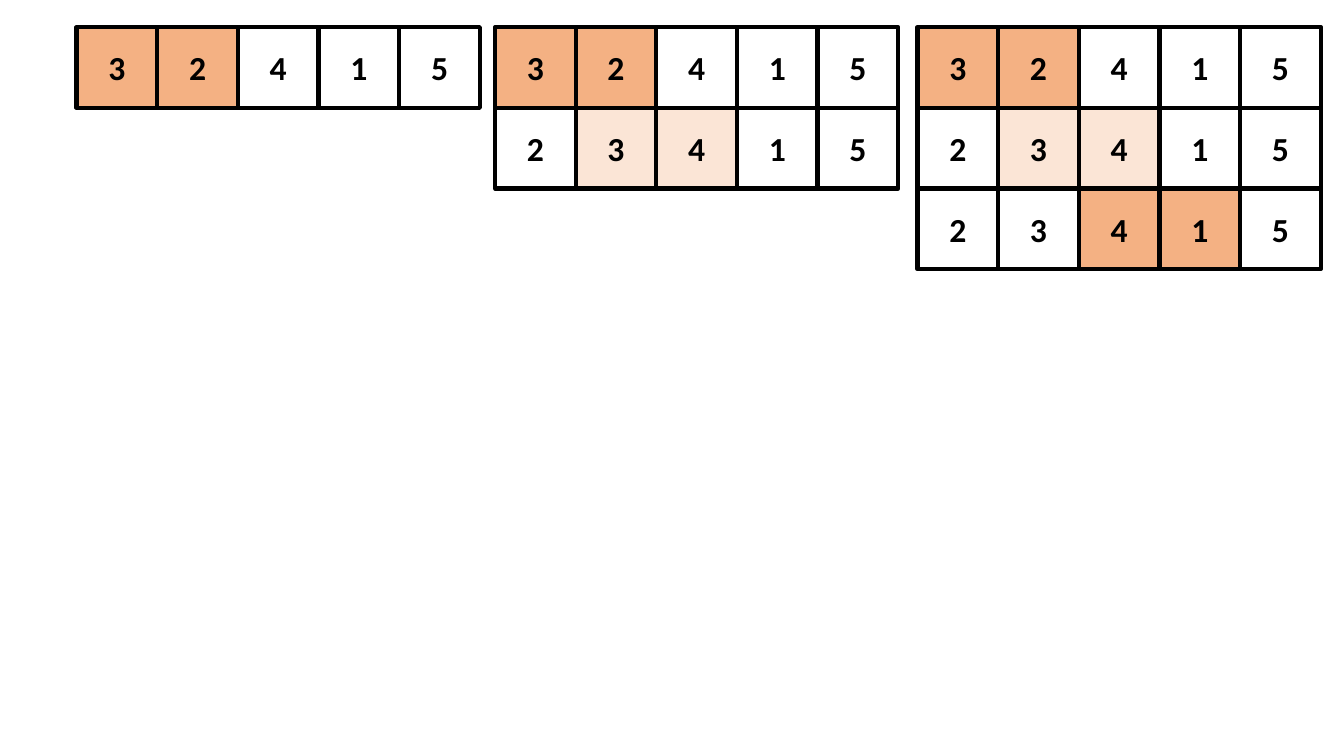
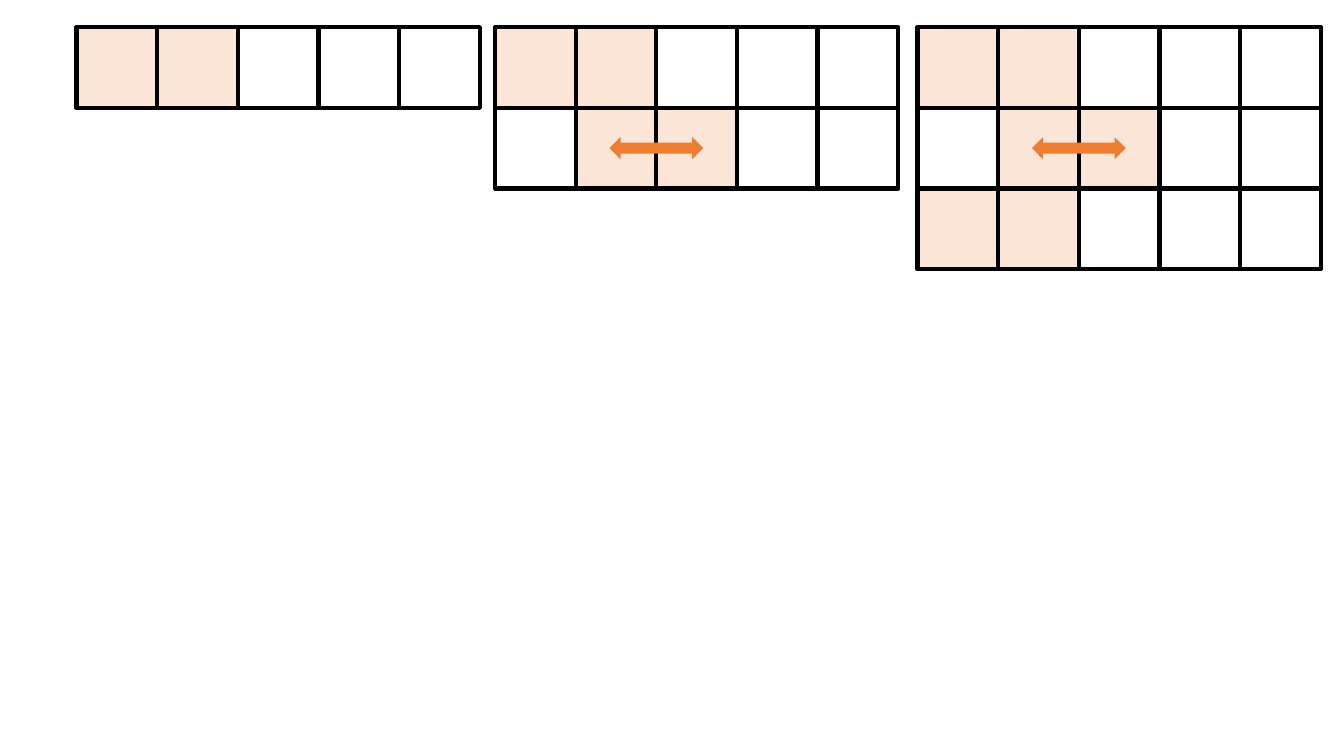
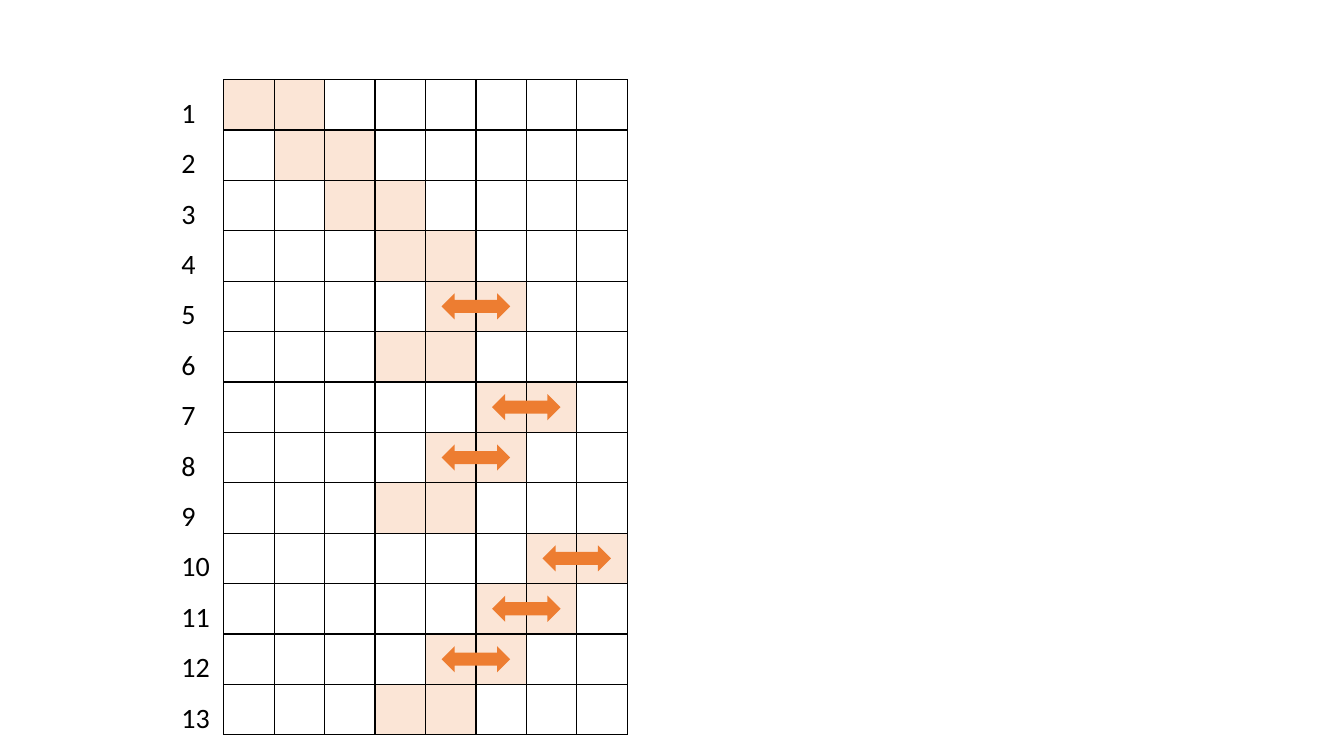
from dataclasses import dataclass

from lxml.etree import SubElement
from pptx import Presentation
from pptx.dml.color import RGBColor as Color
from pptx.enum.shapes import MSO_SHAPE as Preset
from pptx.enum.text import MSO_ANCHOR as Anchor, MSO_AUTO_SIZE as Fit, PP_ALIGN as Align
from pptx.oxml.ns import qn
from pptx.util import Inches, Pt


@dataclass(frozen=True)
class Theme:
    ink: Color = Color.from_string("000000")
    strong: Color = Color.from_string("F4B183")
    pale: Color = Color.from_string("FBE5D6")
    arrow: Color = Color.from_string("ED7D31")
    font: str = "Calibri"
    digit: int = 24
    label: int = 20
    edge: int = 3
    rule: int = 1


@dataclass(frozen=True)
class Step:
    """One row: the first column of its marked pair, the tint, digits and arrow."""
    start: int
    tint: Color
    digits: str = ""
    swap: bool = False


THEME = Theme()
SIDE = 0.8
COLS = 5
PANELS = (0.76, 4.91, 9.1)
TOP = 0.27

SORT = (
    Step(0, THEME.strong, "32415"),
    Step(1, THEME.pale, "23415"),
    Step(2, THEME.strong, "23415"),
)
SWAPS = (
    Step(0, THEME.pale),
    Step(1, THEME.pale, swap=True),
    Step(0, THEME.pale),
)
TRACE = [
    Step(start, THEME.pale, swap=start > 3)
    for start in (0, 1, 2, 3, 4, 3, 5, 4, 3, 6, 5, 4, 3)
]


def set_font(para, size, bold=False):
    font = para.font
    font.name, font.size, font.bold = THEME.font, Pt(size), bold
    font.color.rgb = THEME.ink


def set_fill(part, tint):
    if tint is None:
        part.fill.background()
    else:
        part.fill.solid()
        part.fill.fore_color.rgb = tint


def pick_tint(step, col):
    return step.tint if col in (step.start, step.start + 1) else None


def add_box(shapes, x, y, tint, digit):
    box = shapes.add_shape(
        Preset.RECTANGLE, Inches(x), Inches(y), Inches(SIDE), Inches(SIDE))
    box.shadow.inherit = False
    set_fill(box, tint)
    box.line.color.rgb = THEME.ink
    box.line.width = Pt(THEME.edge)
    if digit:
        frame = box.text_frame
        frame.vertical_anchor = Anchor.MIDDLE
        para = frame.paragraphs[0]
        para.text = digit
        para.alignment = Align.CENTER
        set_font(para, THEME.digit, bold=True)


def add_swaps(shapes, x, y, side, steps, width, height):
    """Centre an arrow on the marked pair of each row that swaps."""
    for row, step in enumerate(steps):
        if step.swap:
            left = x + (step.start + 1) * side - width / 2
            top = y + (row + 0.5) * side - height / 2
            arrow = shapes.add_shape(
                Preset.LEFT_RIGHT_ARROW, Inches(left), Inches(top),
                Inches(width), Inches(height))
            arrow.shadow.inherit = False
            set_fill(arrow, THEME.arrow)
            arrow.line.fill.background()


def add_panel(slide, x, y, steps):
    shapes = slide.shapes.add_group_shape().shapes
    for row, step in enumerate(steps):
        for col in range(COLS):
            add_box(shapes, x + col * SIDE, y + row * SIDE,
                    pick_tint(step, col), step.digits[col:col + 1])
    add_swaps(shapes, x, y, SIDE, steps, 0.93, 0.22)


def add_stages(slide, steps):
    """Place panels side by side, each with one more row than the last."""
    for count, x in enumerate(PANELS, 1):
        add_panel(slide, x, TOP, steps[:count])


def set_border(cell):
    props = cell._tc.get_or_add_tcPr()
    for name in ("lnL", "lnR", "lnT", "lnB"):
        line = SubElement(props, qn(f"a:{name}"), w=str(Pt(THEME.rule)))
        fill = SubElement(line, qn("a:solidFill"))
        SubElement(fill, qn("a:srgbClr"), val=str(THEME.ink))


def add_trace(slide, x, y, steps, cols, side):
    rows = len(steps)
    table = slide.shapes.add_table(
        rows, cols, Inches(x), Inches(y),
        Inches(cols * side), Inches(rows * side)).table
    table.first_row = table.horz_banding = False
    for row, step in enumerate(steps):
        for col in range(cols):
            cell = table.cell(row, col)
            set_border(cell)
            set_fill(cell, pick_tint(step, col))
    add_swaps(slide.shapes, x, y, side, steps, 0.68, 0.26)


def add_labels(slide, x, y, width, height, count):
    box = slide.shapes.add_textbox(
        Inches(x), Inches(y), Inches(width), Inches(height))
    frame = box.text_frame
    frame.word_wrap = False
    frame.auto_size = Fit.SHAPE_TO_FIT_TEXT
    frame.text = "\n".join(str(num) for num in range(1, count + 1))
    for para in frame.paragraphs:
        para.line_spacing = 1.5
        set_font(para, THEME.label)


def main():
    deck = Presentation()
    deck.slide_width, deck.slide_height = Inches(13.33), Inches(7.5)
    blank = deck.slide_layouts[6]
    for steps in (SORT, SWAPS):
        add_stages(deck.slides.add_slide(blank), steps)
    last = deck.slides.add_slide(blank)
    add_trace(last, 2.22, 0.79, TRACE, 8, 0.5)
    add_labels(last, 1.7, 0.73, 0.49, 6.61, len(TRACE))
    deck.save("out.pptx")


if __name__ == "__main__":
    main()
